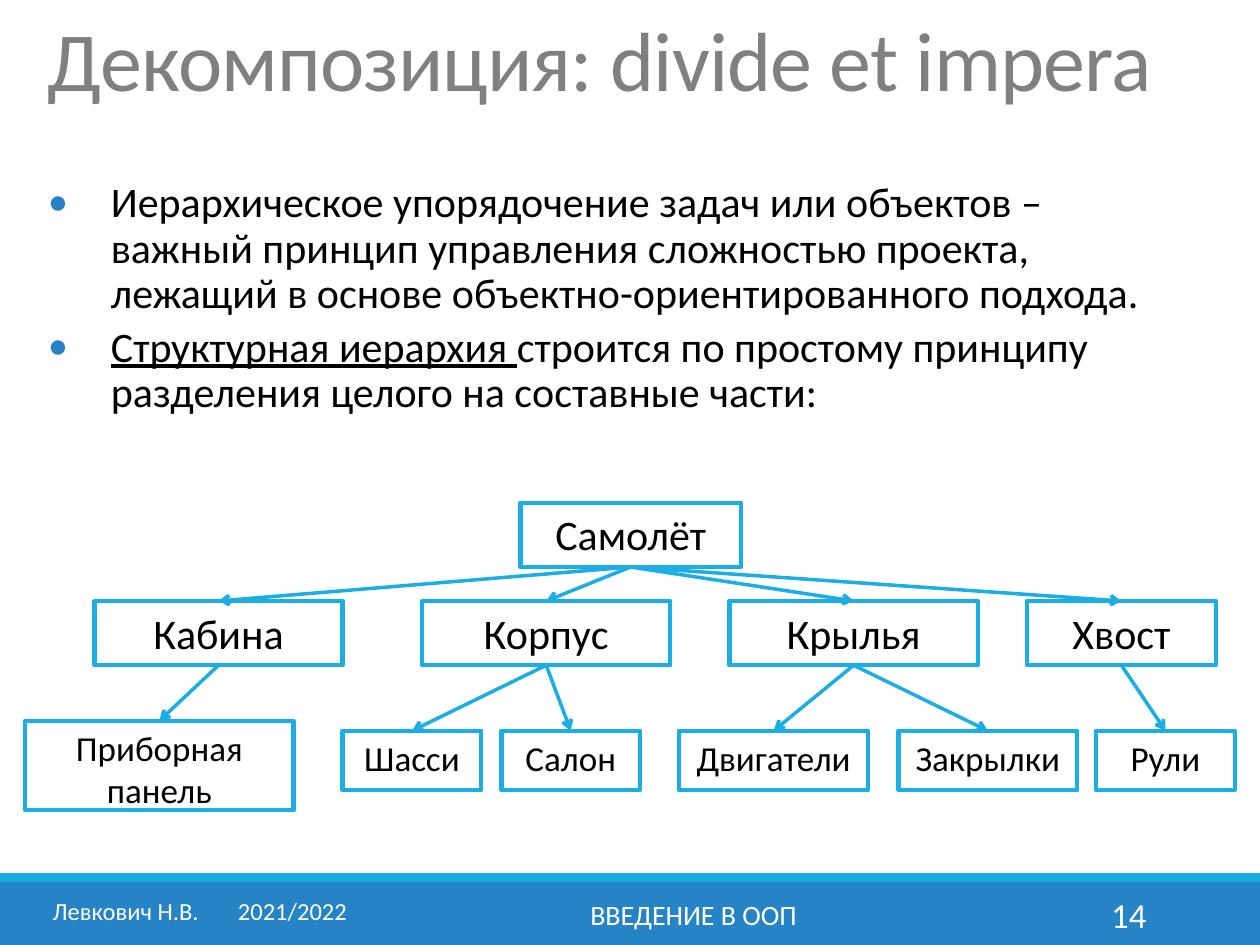
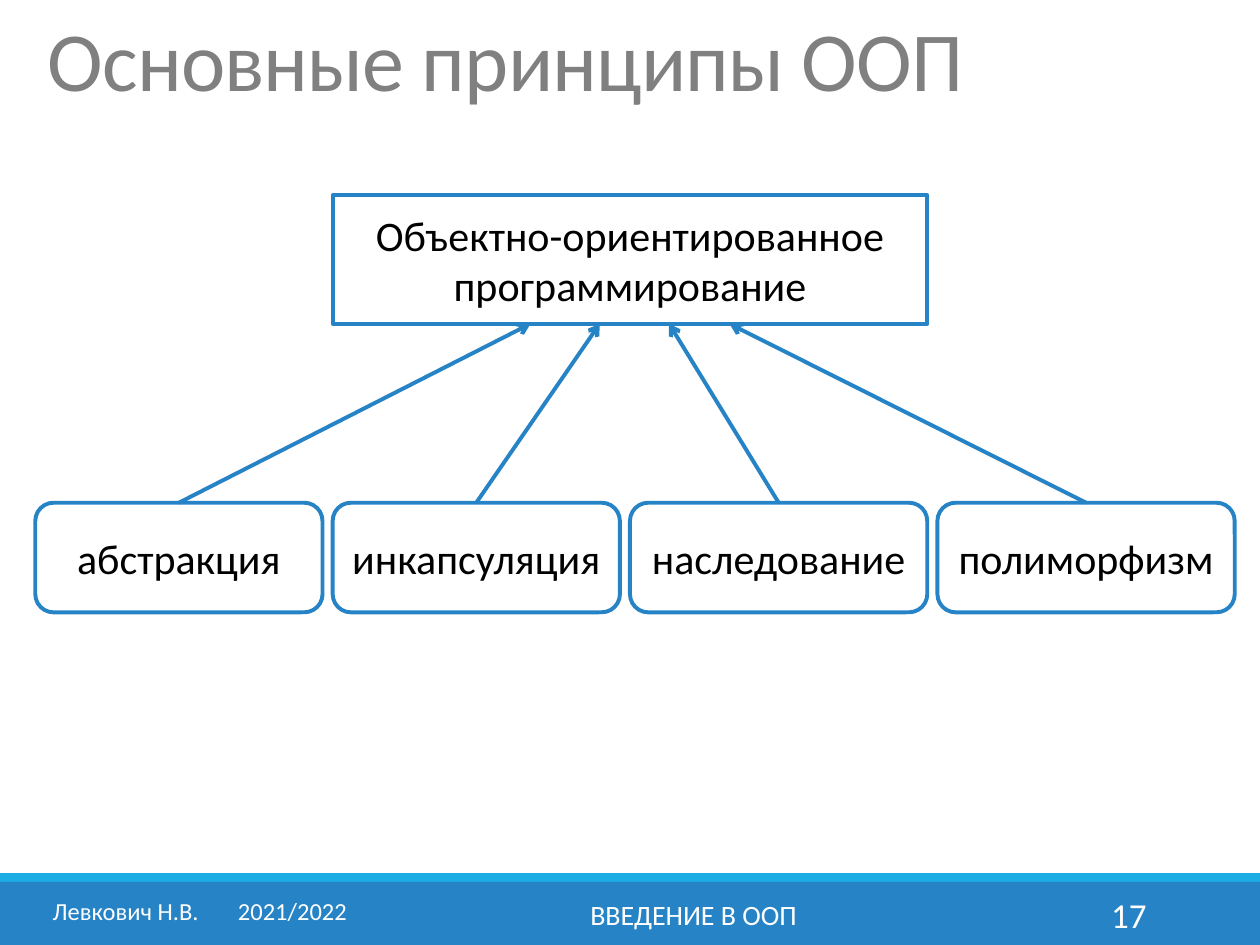
from pptx import Presentation
from pptx.dml.color import RGBColor
from pptx.enum.shapes import MSO_CONNECTOR, MSO_SHAPE
from pptx.enum.text import MSO_ANCHOR, MSO_AUTO_SIZE, PP_ALIGN
from pptx.oxml.ns import qn
from pptx.util import Pt
from lxml.etree import SubElement

SCALE = 9144
FONT = "Calibri"
BLUE, SKY, GREY = "2683C6", "1CADE4", "808080"
BLACK, WHITE = "000000", "FFFFFF"
LEFT, MID = PP_ALIGN.LEFT, PP_ALIGN.CENTER


def px(*sizes):
    return [size * SCALE for size in sizes]


def color(code):
    return RGBColor.from_string(code)


def child(node, tag, **attrs):
    return SubElement(node, qn(tag), attrs)


class Deck:
    def __init__(self):
        self.show = Presentation()
        self.show.slide_width, self.show.slide_height = px(1000, 750)
        self.slide = None

    def start(self, title, number, layout):
        first = self.slide is None
        self.slide = self.show.slides.add_slide(self.show.slide_layouts[layout])
        if first:
            self.band(700, 50, BLUE, 101)
            self.band(693, 7, SKY, 102)
        head = self.slide.shapes.title
        self.place(head, 28, 13, 945, 159)
        head.text_frame.text = title
        self.format(head.text_frame, 48, GREY, LEFT)
        line = head.text_frame.paragraphs[0]
        line.line_spacing = 0.85
        line.runs[0].font._element.set("spc", "-50")
        self.footer(number)

    def place(self, shape, *at):
        shape.left, shape.top, shape.width, shape.height = px(*at)

    def format(self, frame, size, code, align, anchor=MSO_ANCHOR.TOP):
        frame.word_wrap = True
        frame.auto_size = MSO_AUTO_SIZE.NONE
        frame.vertical_anchor = anchor
        for line in frame.paragraphs:
            line.alignment = align
            for run in line.runs:
                run.font.name = FONT
                run.font.size = Pt(size)
                run.font.color.rgb = color(code)

    def band(self, top, height, code, ident):
        band = self.slide.shapes.add_shape(MSO_SHAPE.RECTANGLE, *px(0, top, 1000, height))
        band.shadow.inherit = False
        band.fill.solid()
        band.fill.fore_color.rgb = color(code)
        band.line.fill.background()
        band.element.nvSpPr.cNvPr.set("id", str(ident))
        self.show.slide_master.shapes[0].element.addprevious(band.element)

    def label(self, text, left, width, size, align, anchor=MSO_ANCHOR.MIDDLE):
        frame = self.slide.shapes.add_textbox(*px(left, 706, width, 40)).text_frame
        frame.text = text
        self.format(frame, size, WHITE, align, anchor)
        return frame.paragraphs[0]

    def footer(self, number):
        line = self.label("Левкович Н.В.\t2021/2022", 32, 261, 14, LEFT, MSO_ANCHOR.TOP)
        tabs = child(line._p.get_or_add_pPr(), "a:tabLst")
        child(tabs, "a:tab", pos=str(147 * SCALE), algn="l")
        self.label("ВВЕДЕНИЕ В ООП", 302, 497, 16, MID)
        self.label(str(number), 812, 108, 20, PP_ALIGN.RIGHT)

    def bullets(self, items, *at):
        body = self.slide.placeholders[1]
        self.place(body, *at)
        frame = body.text_frame
        frame.text = "\n".join(key for key, rest in items)
        for line, (key, rest) in zip(frame.paragraphs, items):
            if rest:
                line.runs[0].font.underline = True
                line.add_run().text = rest
            line.line_spacing = 0.9
            line.space_before = Pt(4.8)
            props = line._p.get_or_add_pPr()
            props.set("marL", str(50 * SCALE))
            props.set("indent", str(-50 * SCALE))
            child(child(props, "a:buClr"), "a:srgbClr", val=BLUE)
            child(props, "a:buSzPct", val="80000")
            child(props, "a:buChar", char="●")
        self.format(frame, 24, BLACK, LEFT)

    def box(self, text, at, size=24, edge=SKY, weight=2.5, fill=None,
            kind=MSO_SHAPE.RECTANGLE, anchor=MSO_ANCHOR.TOP):
        box = self.slide.shapes.add_shape(kind, *px(*at))
        box.shadow.inherit = False
        if fill:
            box.fill.solid()
            box.fill.fore_color.rgb = color(fill)
        else:
            box.fill.background()
        box.line.color.rgb = color(edge)
        box.line.width = Pt(weight)
        box.text_frame.text = text
        self.format(box.text_frame, size, BLACK, MID, anchor)
        return box

    def arrow(self, ends, code, weight):
        line = self.slide.shapes.add_connector(MSO_CONNECTOR.STRAIGHT, *px(*ends))
        line.line.color.rgb = color(code)
        line.line.width = Pt(weight)
        child(line.line._get_or_add_ln(), "a:tailEnd", type="arrow")
        child(line.element.spPr, "a:effectLst")
        return line

    def link(self, upper, lower):
        line = self.arrow((0, 0, 0, 0), SKY, 2)
        line.begin_connect(upper, 2)
        line.end_connect(lower, 0)


def plane(deck):
    deck.start("Декомпозиция: divide et impera", 14, 1)
    deck.bullets([
        ("Иерархическое упорядочение задач или объектов – важный принцип управления "
         "сложностью проекта, лежащий в основе объектно-ориентированного подхода.", ""),
        ("Структурная иерархия ",
         "строится по простому принципу разделения целого на составные части:"),
    ], 28, 139, 910, 465)
    tree = [
        ("Кабина", 75, 197, [("Приборная панель", 20, 572, 213, 71)]),
        ("Корпус", 335, 197, [("Шасси", 272, 580, 110, 47), ("Салон", 398, 580, 110, 47)]),
        ("Крылья", 579, 197, [("Двигатели", 539, 580, 150, 47),
                              ("Закрылки", 713, 580, 142, 47)]),
        ("Хвост", 815, 150, [("Рули", 870, 580, 110, 47)]),
    ]
    root = deck.box("Самолёт", (413, 399, 175, 51))
    for name, left, width, parts in tree:
        node = deck.box(name, (left, 477, width, 51))
        deck.link(root, node)
        for part, *at in parts:
            deck.link(node, deck.box(part, at, 20))


def tenets(deck):
    deck.start("Основные принципы ООП", 17, 5)
    style = dict(edge=BLUE, weight=2.25, fill=WHITE, anchor=MSO_ANCHOR.MIDDLE)
    deck.box("Объектно-ориентированное программирование", (264, 155, 472, 102), **style)
    left, gap = 28, 8
    for name, width, tip in [("абстракция", 228, 421), ("инкапсуляция", 228, 476),
                             ("наследование", 236, 531), ("полиморфизм", 236, 579)]:
        deck.box(name, (left, 399, width, 87), kind=MSO_SHAPE.ROUNDED_RECTANGLE, **style)
        deck.arrow((left + width // 2, 399, tip, 257), BLUE, 2.25)
        left += width + gap


def main():
    deck = Deck()
    plane(deck)
    tenets(deck)
    deck.show.save("out.pptx")


if __name__ == "__main__":
    main()
